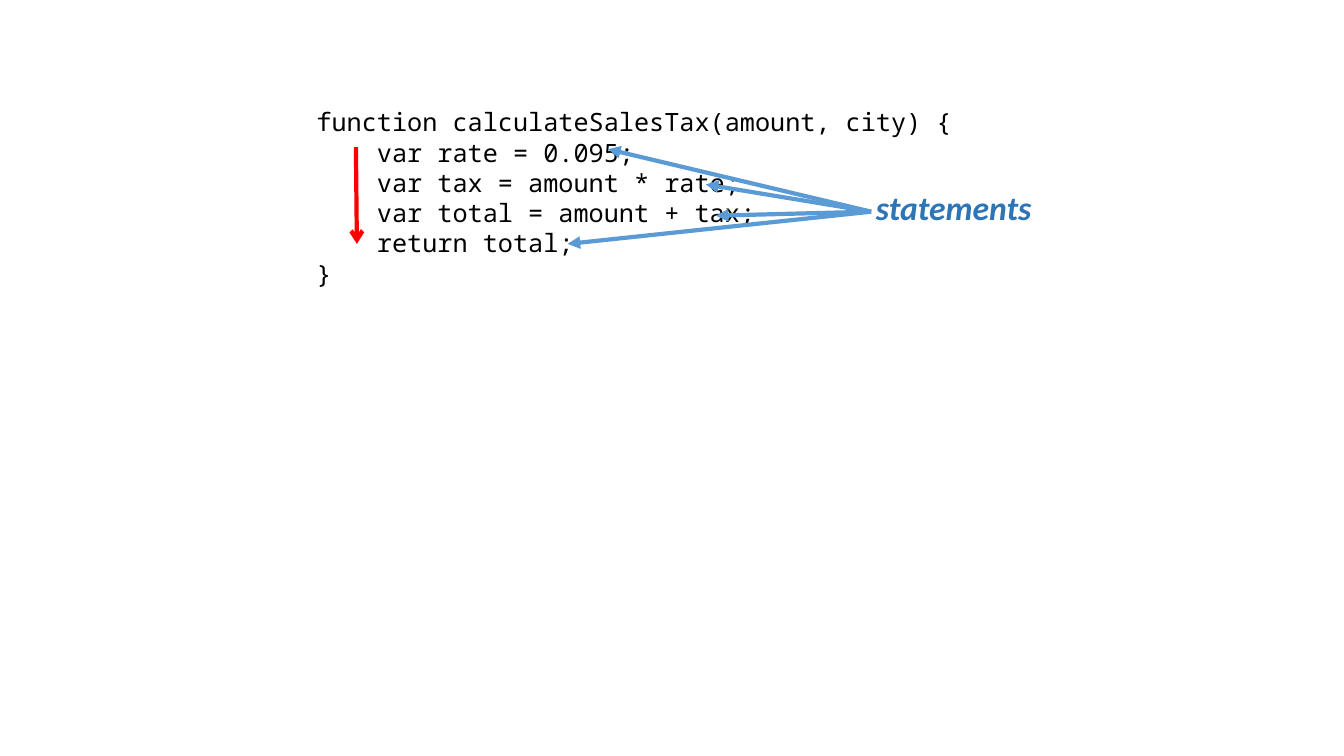
import pptx
import pptx.dml.color
import pptx.enum.shapes
import pptx.enum.text
import pptx.oxml.ns
import pptx.util
from lxml import etree

PX = 9144  # EMU per px, 100 px to the inch

CODE = """function calculateSalesTax(amount, city) {
    var rate = 0.095;
    var tax = amount * rate;
    var total = amount + tax;
    return total;
}"""


def color(value):
    return pptx.dml.color.RGBColor.from_string(value)


def add_arrow(start, end, line_color, head):
    points = [value * PX for value in (*start, *end)]
    arrow = page.shapes.add_connector(pptx.enum.shapes.MSO_CONNECTOR.STRAIGHT, *points)
    arrow.line.color.rgb = color(line_color)
    arrow.line.width = pptx.util.Pt(3)
    properties = arrow._element.spPr
    tail = etree.SubElement(arrow.line._get_or_add_ln(), pptx.oxml.ns.qn("a:tailEnd"))
    tail.set("type", head)
    etree.SubElement(properties, pptx.oxml.ns.qn("a:effectLst"))


deck = pptx.Presentation()
deck.slide_width = 1333 * PX
deck.slide_height = 750 * PX
page = deck.slides.add_slide(deck.slide_layouts[6])

# Code listing and its label
texts = [
    (CODE, (304, 101, 746, 192), "Noto Sans Mono", 18, "000000", False),
    ("statements", (859, 181, 233, 50), "Calibri", 24, "2E75B6", True),
]
for text, place, font_name, size, text_color, emphasis in texts:
    box = page.shapes.add_textbox(*[value * PX for value in place])
    box.text_frame.word_wrap = True
    box.text_frame.auto_size = pptx.enum.text.MSO_AUTO_SIZE.SHAPE_TO_FIT_TEXT
    box.text_frame.text = text
    for para in box.text_frame.paragraphs:
        for span in para.runs:
            span.font.name = font_name
            span.font.size = pptx.util.Pt(size)
            span.font.color.rgb = color(text_color)
            span.font.bold = emphasis
            span.font.italic = emphasis

# Order of execution
add_arrow((353, 146), (354, 242), "FF0000", "arrow")

# Arrows from the label to each statement
for statement_end in [(603, 148), (700, 183), (710, 214), (563, 242)]:
    add_arrow((864, 210), statement_end, "5B9BD5", "triangle")

deck.save("out.pptx")
